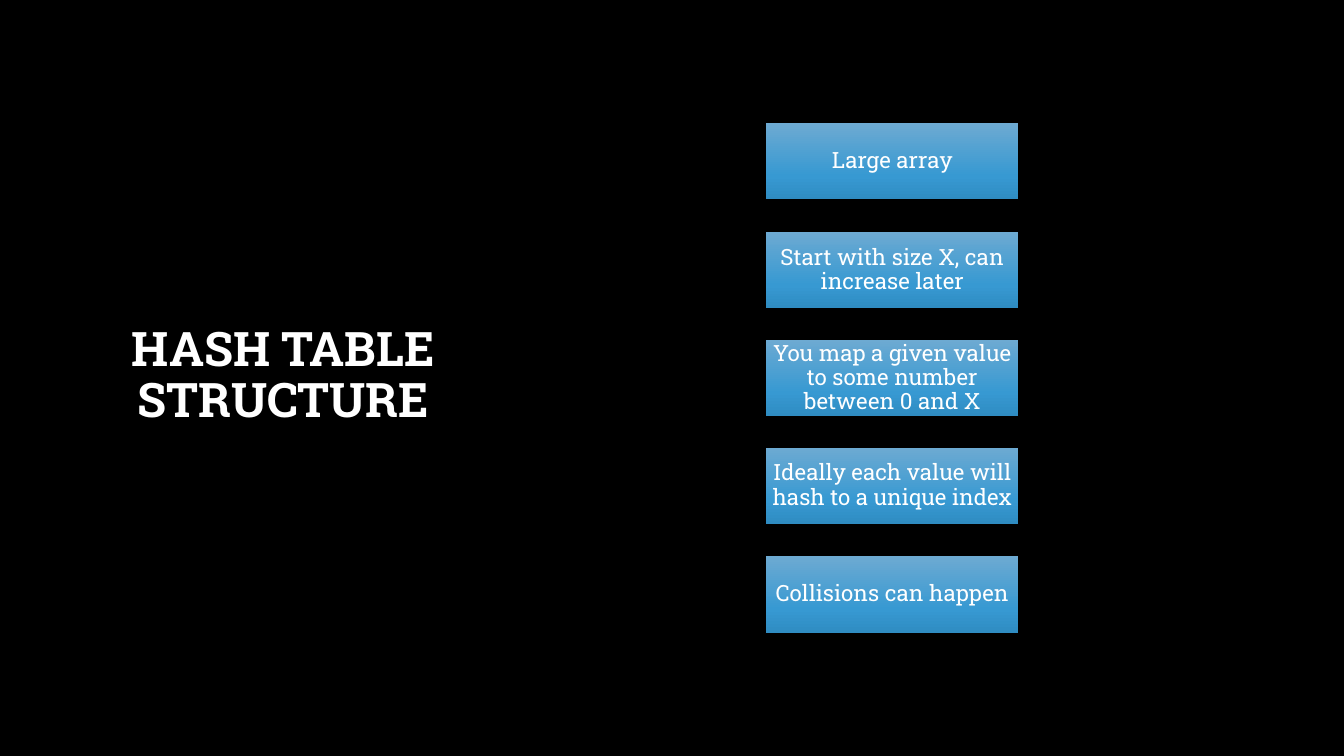
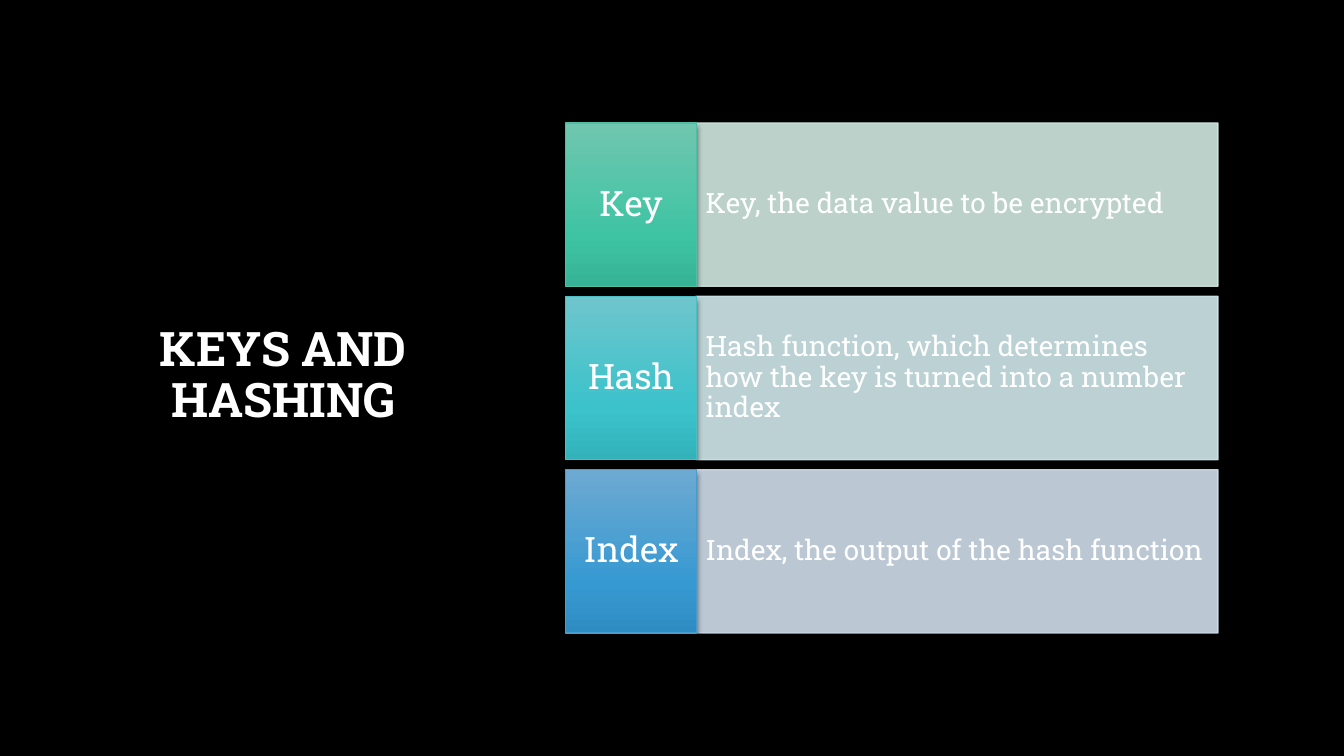
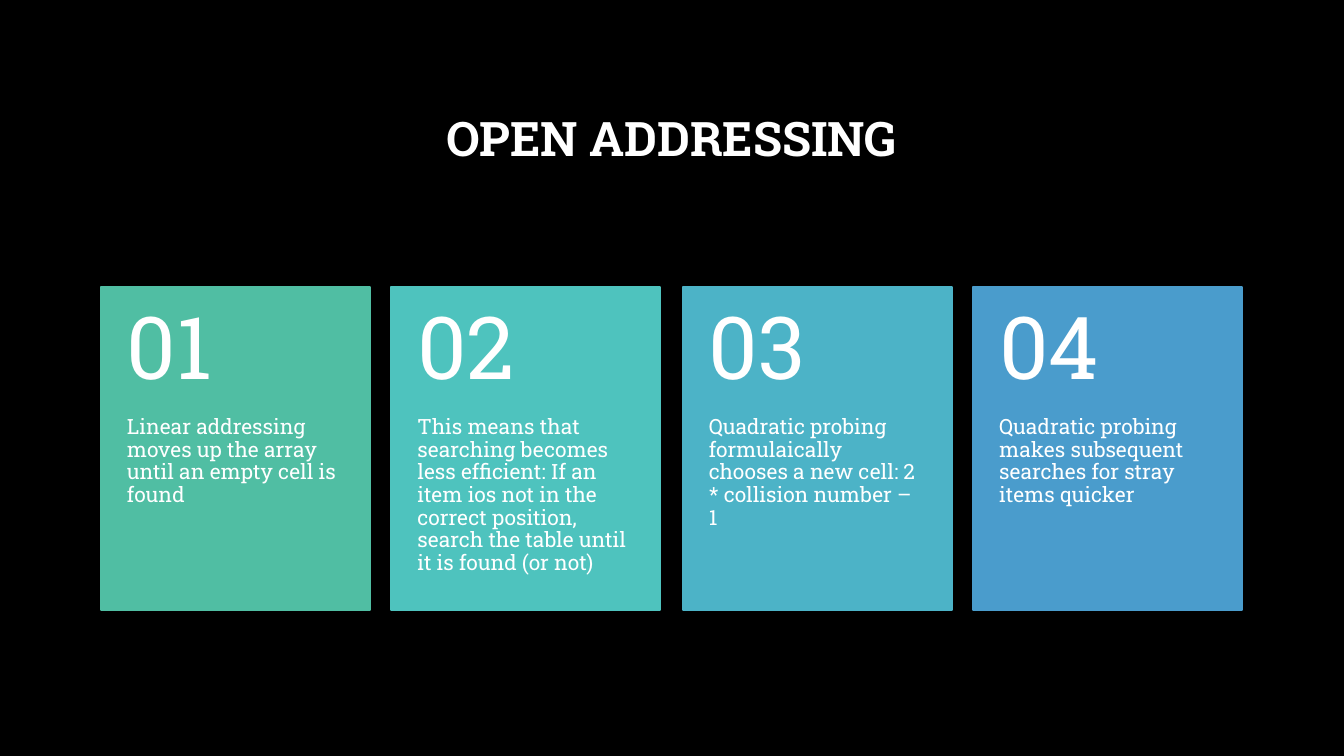
"""Build three slides on hash tables."""
from dataclasses import dataclass

from lxml import etree
from pptx import Presentation
from pptx import util as u
from pptx.dml.color import RGBColor
from pptx.enum import shapes, text
from pptx.oxml import ns

PX = 9144
MID, TOP = text.MSO_ANCHOR.MIDDLE, text.MSO_ANCHOR.TOP
CENTER, LEFT = text.PP_ALIGN.CENTER, text.PP_ALIGN.LEFT


@dataclass(frozen=True)
class Theme:
    """Colours, font and type sizes of the deck."""
    font: str = "Roboto Slab"
    back: str = "000000"
    ink: str = "FFFFFF"
    green: str = "50BEA3"
    teal: str = "4EC3BE"
    aqua: str = "4DBEC5"
    sea: str = "4CB3C7"
    blue: str = "4A9CCC"
    mint: str = "D0E8E0"
    ice: str = "D0E8EA"
    mist: str = "D0DEEC"
    greens: tuple = ("70C6AF", "3EC4A3", "37B395")
    aquas: tuple = ("6EC6CC", "3BC2CB", "33B2BA")
    blues: tuple = ("6DAAD2", "3799D2", "2F8CC2")
    stops: tuple = (0, 69, 100)
    title: int = 34
    step: int = 16
    label: int = 25
    panel: int = 20
    card: int = 15
    number: int = 62


T = Theme()
SIDE = (82, 67, 398, 613)
HEAD = (100, 67, 1132, 145)


def rgb(code):
    """Turn a hex code into a colour."""
    return RGBColor.from_string(code)


def px(*vals):
    """Turn px into EMU."""
    return [val * PX for val in vals]


def put(obj, **vals):
    """Set each given value on an object."""
    for name, val in vals.items():
        setattr(obj, name, val)


def sub(node, tag, **vals):
    """Add a drawing element with its attributes."""
    return etree.SubElement(node, ns.qn(tag), {k: str(v) for k, v in vals.items()})


def spread(start, end, size, count):
    """Place equal items with equal gaps from start to end."""
    pitch = (end - start - size) / (count - 1)
    return [round(start + i * pitch) for i in range(count)]


def write(shape, words, size, pad=(10, 5), anchor=MID, align=CENTER, bold=False):
    """Write one paragraph, with pad as x, top and an optional bottom."""
    side, top, base = px(pad[0], pad[1], pad[-1])
    frame = shape.text_frame
    frame.text = words
    put(frame, word_wrap=True, auto_size=text.MSO_AUTO_SIZE.NONE,
        vertical_anchor=anchor, margin_left=side, margin_right=side,
        margin_top=top, margin_bottom=base)
    para = frame.paragraphs[0]
    put(para, alignment=align, line_spacing=0.9)
    put(para.font, name=T.font, size=u.Pt(size), bold=bold)
    para.font.color.rgb = rgb(T.ink)


def rect(slide, box, fill, line=None, width=1):
    """Draw a rectangle with a plain fill or a tuple of gradient colours."""
    shape = slide.shapes.add_shape(shapes.MSO_SHAPE.RECTANGLE, *px(*box))
    shape.shadow.inherit = False
    if isinstance(fill, tuple):
        blend(shape, fill)
    else:
        shape.fill.solid()
        shape.fill.fore_color.rgb = rgb(fill)
    if line:
        shape.line.color.rgb = rgb(line)
        shape.line.width = u.Pt(width)
    else:
        shape.line.fill.background()
    return shape


def blend(shape, tones):
    """Fill a shape from top to bottom and give it a soft shadow."""
    shape.fill.gradient()
    shape.fill.gradient_angle = 270
    props = shape._element.spPr
    stops = props.find(".//" + ns.qn("a:gsLst"))
    for old in list(stops):
        stops.remove(old)
    for pos, tone in zip(T.stops, tones):
        sub(sub(stops, "a:gs", pos=pos * 1000), "a:srgbClr", val=tone)
    cast = sub(props.find(ns.qn("a:effectLst")), "a:outerShdw", blurRad=u.Pt(4),
               dist=u.Pt(3), dir=5400000, algn="ctr", rotWithShape=0)
    sub(sub(cast, "a:srgbClr", val=T.back), "a:alpha", val=54000)


def fade(shape, share):
    """Make the fill and line of a shape partly clear."""
    for tone in list(shape._element.spPr.iter(ns.qn("a:srgbClr"))):
        sub(tone, "a:alpha", val=share * 1000)


def page(deck, words, box):
    """Add a slide with its title."""
    slide = deck.slides.add_slide(deck.slide_layouts[5])
    title = slide.shapes.title
    put(title, **dict(zip(("left", "top", "width", "height"), px(*box))))
    write(title, words, T.title, bold=True)
    return slide


def steps(slide, items):
    """Stack the steps in one column."""
    for y, words in zip(spread(122, 628, 76, len(items)), items):
        write(rect(slide, (760, y, 250, 76), T.blues), words, T.step, (1, 1))


def rows(slide, items):
    """Stack rows of a label and a pale panel."""
    for y, item in zip(spread(122, 628, 162, len(items)), items):
        name, words, tones, edge, pale = item
        panel = rect(slide, (690, y, 518, 162), pale, pale)
        fade(panel, 90)
        write(panel, words, T.panel, (10, 41), align=LEFT)
        label = rect(slide, (561, y, 130, 162), tones, edge)
        write(label, name, T.label, (7, 16))


def cards(slide, items):
    """Set numbered cards side by side."""
    places = spread(100, 1232, 267, len(items))
    for i, (x, (words, tone)) in enumerate(zip(places, items), 1):
        card = rect(slide, (x, 285, 267, 320), tone, tone, 1.5)
        write(card, words, T.card, (26, 128, 36), TOP, LEFT)
        number = slide.shapes.add_textbox(*px(x, 285, 267, 128))
        write(number, f"{i:02}", T.number, (26, 18), align=LEFT)


def main():
    """Build and save the deck."""
    deck = Presentation()
    put(deck, slide_width=1333 * PX, slide_height=750 * PX)
    back = deck.slide_master.background.fill
    back.solid()
    back.fore_color.rgb = rgb(T.back)

    steps(page(deck, "HASH TABLE STRUCTURE", SIDE), [
        "Large array",
        "Start with size X, can increase later",
        "You map a given value to some number between 0 and X",
        "Ideally each value will hash to a unique index",
        "Collisions can happen",
    ])
    rows(page(deck, "KEYS AND HASHING", SIDE), [
        ("Key", "Key, the data value to be encrypted",
         T.greens, T.green, T.mint),
        ("Hash", "Hash function, which determines how the key is turned "
         "into a number index", T.aquas, T.aqua, T.ice),
        ("Index", "Index, the output of the hash function",
         T.blues, T.blue, T.mist),
    ])
    cards(page(deck, "OPEN ADDRESSING", HEAD), [
        ("Linear addressing moves up the array until an empty cell is found",
         T.green),
        ("This means that searching becomes less efficient: If an item ios "
         "not in the correct position, search the table until it is found "
         "(or not)", T.teal),
        ("Quadratic probing formulaically chooses a new cell: "
         "2 * collision number – 1", T.sea),
        ("Quadratic probing makes subsequent searches for stray items quicker",
         T.blue),
    ])
    deck.save("out.pptx")


if __name__ == "__main__":
    main()
